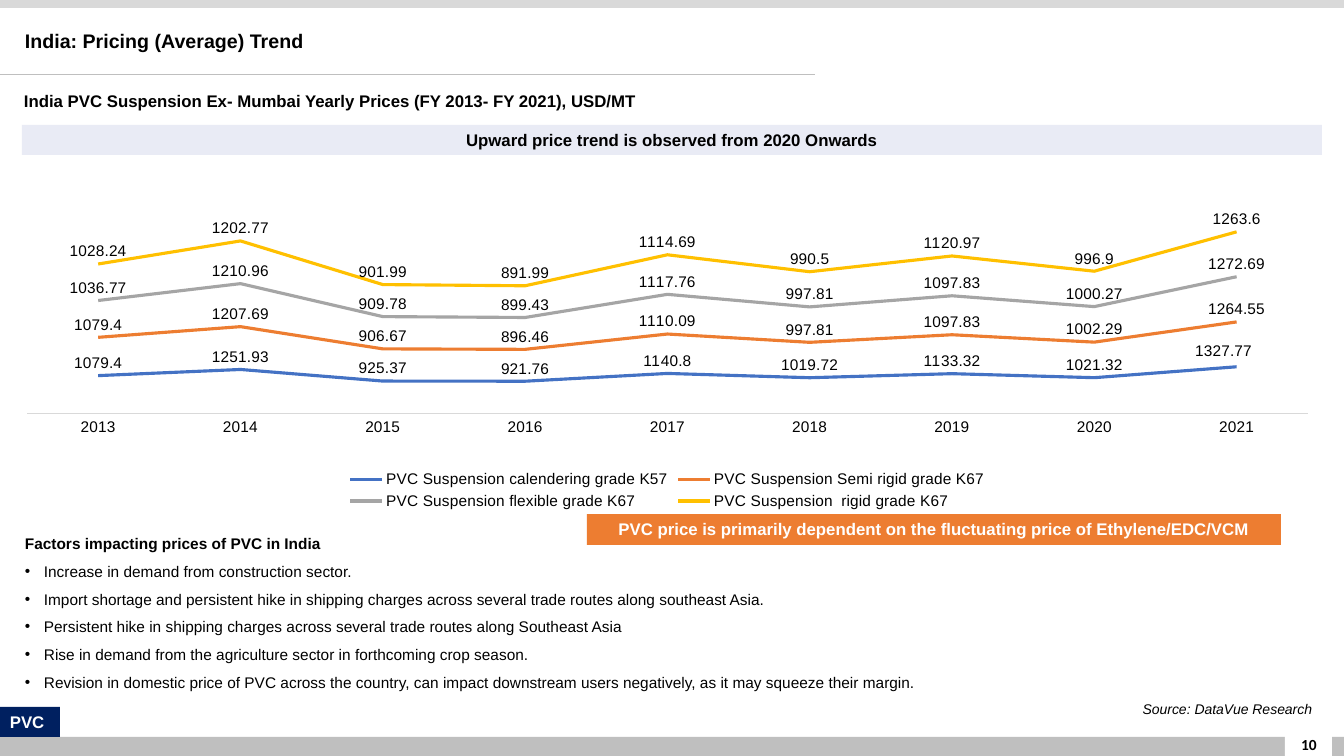
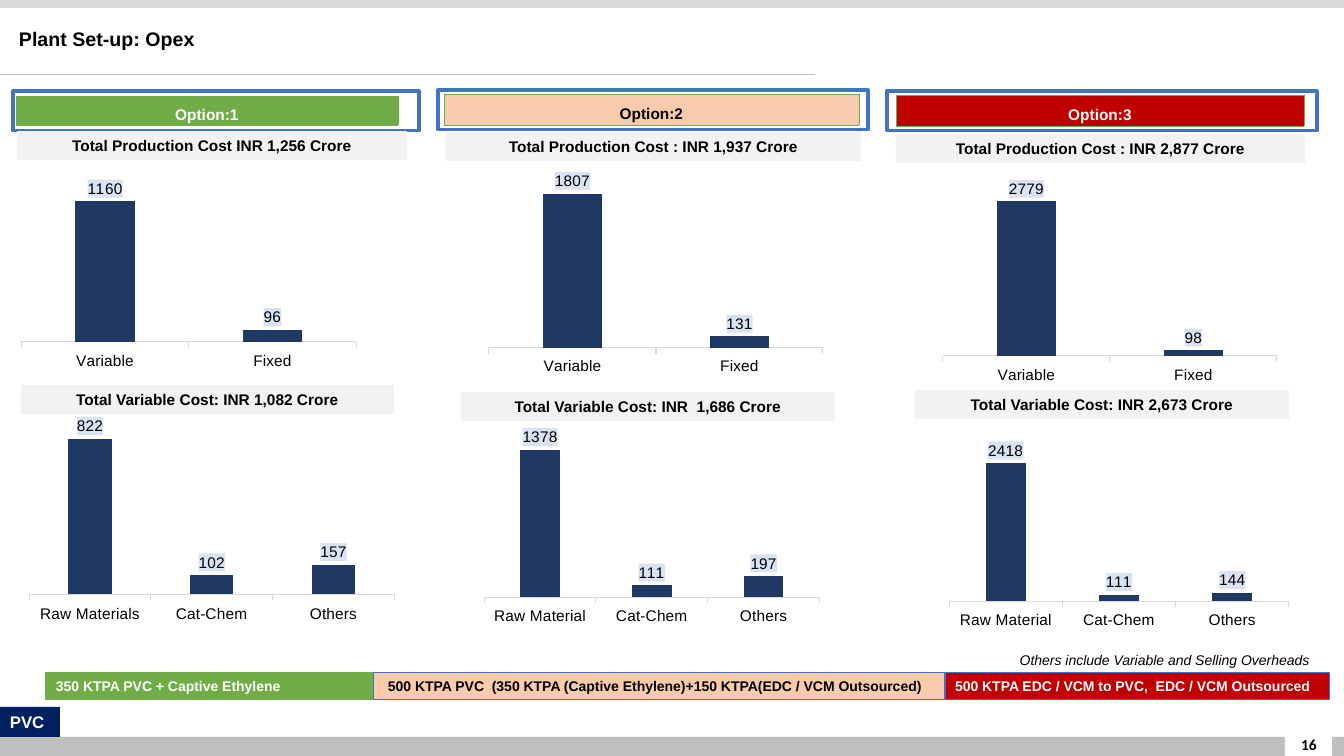
from dataclasses import dataclass

from lxml import etree
from pptx import Presentation
from pptx.chart.data import CategoryChartData
from pptx.dml.color import RGBColor
from pptx.enum.chart import (XL_CHART_TYPE, XL_LABEL_POSITION, XL_LEGEND_POSITION,
                             XL_MARKER_STYLE, XL_TICK_LABEL_POSITION, XL_TICK_MARK)
from pptx.enum.shapes import MSO_CONNECTOR, MSO_SHAPE
from pptx.enum.text import MSO_ANCHOR, PP_ALIGN
from pptx.oxml import parse_xml
from pptx.oxml.ns import nsdecls, qn
from pptx.util import Pt

RECTANGLE = MSO_SHAPE.RECTANGLE
LEFT, CENTER, RIGHT = PP_ALIGN.LEFT, PP_ALIGN.CENTER, PP_ALIGN.RIGHT
TOP, MIDDLE = MSO_ANCHOR.TOP, MSO_ANCHOR.MIDDLE
NO_TICKS = XL_TICK_MARK.NONE

BLACK = RGBColor(0x00, 0x00, 0x00)
WHITE = RGBColor(0xFF, 0xFF, 0xFF)
BAND_GRAY = RGBColor(0xBF, 0xBF, 0xBF)
RULE_GRAY = RGBColor(0xD9, 0xD9, 0xD9)
CAPTION_GRAY = RGBColor(0xF2, 0xF2, 0xF2)
PALE_BLUE = RGBColor(0xE9, 0xEB, 0xF5)
TAG_NAVY = RGBColor(0x00, 0x20, 0x60)
COLUMN_NAVY = RGBColor(0x20, 0x38, 0x64)
BLUE = RGBColor(0x44, 0x72, 0xC4)
ORANGE = RGBColor(0xED, 0x7D, 0x31)
GRAY = RGBColor(0xA5, 0xA5, 0xA5)
YELLOW = RGBColor(0xFF, 0xC0, 0x00)
GREEN = RGBColor(0x70, 0xAD, 0x47)
PEACH = RGBColor(0xF8, 0xCB, 0xAD)
RED = RGBColor(0xC0, 0x00, 0x00)
LABEL_FILL = "DAE3F3"

SLIDE_WIDTH, SLIDE_HEIGHT = 1344, 756
EMU_PER_PX = 12192000 / SLIDE_WIDTH
FONT = "Arial"


def px(length):
    return round(length * EMU_PER_PX)


def place(box):
    return [px(length) for length in box]


def within(origin, box):
    """Move a box given relative to the origin onto the slide."""
    return (origin[0] + box[0], origin[1] + box[1], box[2], box[3])


def style_font(font, size, color=BLACK, bold=False, italic=False, name=FONT):
    font.name, font.size = name, Pt(size)
    font.bold, font.italic = bold, italic
    font.color.rgb = color


def write(shape, text, size, color=BLACK, align=LEFT, anchor=TOP, **font):
    frame = shape.text_frame
    frame.word_wrap = True
    frame.vertical_anchor = anchor
    paragraph = frame.paragraphs[0]
    paragraph.text = text
    paragraph.alignment = align
    style_font(paragraph.font, size, color, **font)
    return paragraph


def add_text(slide, box, text, size, **style):
    return write(slide.shapes.add_textbox(*place(box)), text, size, **style)


def add_box(slide, box, fill=None, line=None, line_width=0.75):
    shape = slide.shapes.add_shape(RECTANGLE, *place(box))
    shape.shadow.inherit = False
    if fill is None:
        shape.fill.background()
    else:
        shape.fill.solid()
        shape.fill.fore_color.rgb = fill
    if line is None:
        shape.line.fill.background()
    else:
        shape.line.color.rgb = line
        shape.line.width = Pt(line_width)
    return shape


def add_page(presentation, title, title_box, number):
    """Blank slide with the shared bands, title, section tag and page number."""
    slide = presentation.slides.add_slide(presentation.slide_layouts[6])
    add_box(slide, (0, 737, SLIDE_WIDTH, 19), BAND_GRAY)
    add_box(slide, (0, 0, SLIDE_WIDTH, 8), RULE_GRAY)
    add_box(slide, (1285, 719, 47, 37), WHITE)
    add_text(slide, (1276, 724, 66, 40), number, 11, align=CENTER, anchor=MIDDLE,
             bold=True, name="Calibri")
    rule = slide.shapes.add_connector(MSO_CONNECTOR.STRAIGHT, 0, px(74), px(815), px(74))
    rule.line.color.rgb = BAND_GRAY
    rule.line.width = Pt(0.5)
    etree.SubElement(rule._element.spPr, qn("a:effectLst"))
    add_text(slide, title_box, title, 14, anchor=MIDDLE, bold=True).line_spacing = 0.9
    write(add_box(slide, (0, 707, 60, 30), TAG_NAVY), "PVC", 12, WHITE, bold=True)
    return slide


def add_note(slide, box, text):
    add_text(slide, box, text, 10, align=RIGHT, italic=True).line_spacing = 1.07


# Charts

def manual_layout(x, y, width=None, height=None):
    parts = [("xMode", "edge"), ("yMode", "edge")] if width else []
    parts += [("x", x), ("y", y)]
    if width:
        parts = [("layoutTarget", "inner")] + parts + [("w", width), ("h", height)]
    body = "".join(f'<c:{tag} val="{value}"/>' for tag, value in parts)
    return parse_xml(f'<c:layout {nsdecls("c")}><c:manualLayout>{body}'
                     '</c:manualLayout></c:layout>')


def add_chart(slide, box, kind, categories, series, plot_area, maximum):
    data = CategoryChartData()
    data.categories = categories
    for name, values in series:
        data.add_series(name, values)
    chart = slide.shapes.add_chart(kind, *place(box), data).chart
    chart.has_title = chart.has_legend = False
    style_font(chart.font, 11)
    plot_element = chart.element.find(".//" + qn("c:plotArea"))
    for layout in plot_element.findall(qn("c:layout")):
        plot_element.remove(layout)
    plot_element.insert(0, manual_layout(*plot_area))

    chart.category_axis.format.line.color.rgb = RULE_GRAY
    value_axis = chart.value_axis
    value_axis.has_major_gridlines = False
    value_axis.minimum_scale, value_axis.maximum_scale = 0, maximum
    return chart


def show_values(owner, position):
    labels = owner.data_labels
    labels.show_value = True
    style_font(labels.font, 11)
    labels.position = position


def add_price_chart(slide, box):
    years = [str(year) for year in range(2013, 2022)]
    grades = [
        ("PVC Suspension calendering grade K57", BLUE,
         (1079.4, 1251.93, 925.37, 921.76, 1140.8, 1019.72, 1133.32, 1021.32, 1327.77)),
        ("PVC Suspension Semi rigid grade K67", ORANGE,
         (1079.4, 1207.69, 906.67, 896.46, 1110.09, 997.81, 1097.83, 1002.29, 1264.55)),
        ("PVC Suspension flexible grade K67", GRAY,
         (1036.77, 1210.96, 909.78, 899.43, 1117.76, 997.81, 1097.83, 1000.27, 1272.69)),
        ("PVC Suspension  rigid grade K67", YELLOW,
         (1028.24, 1202.77, 901.99, 891.99, 1114.69, 990.5, 1120.97, 996.9, 1263.6)),
    ]
    chart = add_chart(slide, box, XL_CHART_TYPE.LINE_STACKED, years,
                      [(name, values) for name, _, values in grades],
                      (0.01, 0.06, 0.98, 0.64), 6000)
    chart.category_axis.major_tick_mark = NO_TICKS
    chart.value_axis.visible = False
    chart.has_legend = True
    chart.legend.position = XL_LEGEND_POSITION.BOTTOM
    chart.legend.include_in_layout = False
    style_font(chart.legend.font, 11)
    for series, (_, color, _) in zip(chart.plots[0].series, grades):
        series.smooth = False
        series.marker.style = XL_MARKER_STYLE.NONE
        series.format.line.color.rgb = color
        series.format.line.width = Pt(2.25)
        show_values(series, XL_LABEL_POSITION.ABOVE)

    # The last label of the lowest line stands a little to the left
    last_label = chart.plots[0].series[0].points[len(years) - 1].data_label
    style_font(last_label.font, 11)
    last_label.position = XL_LABEL_POSITION.ABOVE
    label_element = chart.element.find(".//" + qn("c:dLbl"))
    label_element.insert(1, manual_layout(-0.01, -0.01))


def add_cost_chart(slide, box, categories, values, plot_area, maximum):
    chart = add_chart(slide, box, XL_CHART_TYPE.COLUMN_CLUSTERED, categories,
                      [("Series 1", values)], plot_area, maximum)
    chart.value_axis.tick_label_position = XL_TICK_LABEL_POSITION.NONE
    chart.value_axis.major_tick_mark = NO_TICKS
    chart.value_axis.format.line.fill.background()
    plot = chart.plots[0]
    plot.gap_width = 181
    plot.vary_by_categories = False
    columns = plot.series[0]
    columns.format.fill.solid()
    columns.format.fill.fore_color.rgb = COLUMN_NAVY
    show_values(columns, XL_LABEL_POSITION.OUTSIDE_END)
    label_text = chart.element.find(".//" + qn("c:dLbls")).find(qn("c:txPr"))
    label_text.addprevious(parse_xml(
        f'<c:spPr {nsdecls("c", "a")}><a:solidFill><a:srgbClr val="{LABEL_FILL}"/>'
        '</a:solidFill></c:spPr>'))


# Pricing slide

def add_factors(slide, box, heading, factors):
    text_box = slide.shapes.add_textbox(*place(box))
    write(text_box, heading, 11, bold=True).line_spacing = 1.5
    for factor in factors:
        paragraph = text_box.text_frame.add_paragraph()
        paragraph.text = factor
        properties = paragraph._p.get_or_add_pPr()
        properties.set("marL", str(px(19)))
        properties.set("indent", str(-px(19)))
        etree.SubElement(properties, qn("a:buFont")).set("typeface", FONT)
        etree.SubElement(properties, qn("a:buChar")).set("char", "•")
        paragraph.line_spacing = 1.5
        style_font(paragraph.font, 11)


def build_pricing(presentation):
    slide = add_page(presentation, "India: Pricing (Average) Trend", (15, 17, 817, 50), "10")
    add_note(slide, (903, 694, 419, 27), "Source: DataVue Research")
    add_text(slide, (14, 86, 675, 30),
             "India PVC Suspension Ex- Mumbai Yearly Prices (FY 2013- FY 2021), USD/MT",
             12, bold=True)
    add_price_chart(slide, (14, 181, 1307, 333))
    add_factors(slide, (15, 520, 1307, 174), "Factors impacting prices of PVC in India", [
        "Increase in demand from construction sector.",
        "Import shortage and persistent hike in shipping charges across several trade "
        "routes along southeast Asia.",
        "Persistent hike in shipping charges across several trade routes along Southeast Asia",
        "Rise in demand from the agriculture sector in forthcoming crop season.",
        "Revision in domestic price of PVC across the country, can impact downstream users "
        "negatively, as it may squeeze their margin."])
    for box, fill, color, text in [
            ((22, 125, 1300, 30), PALE_BLUE, BLACK,
             "Upward price trend is observed from 2020 Onwards"),
            ((587, 514, 694, 31), ORANGE, WHITE,
             "PVC price is primarily dependent on the fluctuating price of Ethylene/EDC/VCM")]:
        write(add_box(slide, box, fill), text, 12, color, align=CENTER, bold=True)


# Opex slide

@dataclass
class CostPanel:
    caption: str
    caption_box: tuple
    chart_box: tuple
    categories: tuple
    values: tuple
    plot_area: tuple
    maximum: int


def add_option_header(slide, box, text, fill, color):
    table = slide.shapes.add_table(1, 1, *place(box)).table
    table.first_row = table.horz_banding = False
    cell = table.cell(0, 0)
    cell.margin_left = cell.margin_right = px(7)
    cell.margin_top = cell.margin_bottom = 0
    cell.vertical_anchor = MIDDLE
    paragraph = cell.text_frame.paragraphs[0]
    paragraph.text = text
    paragraph.alignment = CENTER
    paragraph.line_spacing = 1.5
    style_font(paragraph.font, 11, color, bold=True)
    properties = cell._tc.get_or_add_tcPr()
    for side in ("lnL", "lnR", "lnT", "lnB"):
        properties.append(parse_xml(
            f'<a:{side} {nsdecls("a")} w="{Pt(0.5)}"><a:solidFill>'
            f'<a:srgbClr val="{GREEN}"/></a:solidFill></a:{side}>'))
    cell.fill.solid()
    cell.fill.fore_color.rgb = fill


def add_option(slide, box, header_box, header, fill, color, panels):
    add_box(slide, box, line=BLUE, line_width=2.25)
    for panel in panels:
        caption = add_box(slide, within(box, panel.caption_box), CAPTION_GRAY)
        write(caption, panel.caption, 11, align=CENTER, bold=True)
        add_cost_chart(slide, within(box, panel.chart_box), panel.categories,
                       panel.values, panel.plot_area, panel.maximum)
    add_option_header(slide, within(box, header_box), header, fill, color)


def build_opex(presentation):
    slide = add_page(presentation, "Plant Set-up: Opex", (9, 15, 817, 50), "16")
    production = ("Variable", "Fixed")
    variable = ("Raw Material", "Cat-Chem", "Others")
    wide_plot = (0.14, 0, 0.72, 0.86)
    add_option(slide, (13, 91, 406, 40), (3, 5, 382, 29), "Option:1", GREEN, WHITE, [
        CostPanel("Total Production Cost INR 1,256 Crore", (4, 40, 390, 29),
                  (-52, 75, 465, 217), production, (1160, 96), (0.13, 0.03, 0.72, 0.78), 1400),
        CostPanel("Total Variable Cost: INR 1,082 Crore", (8, 294, 373, 29),
                  (-29, 322, 451, 227), ("Raw Materials", "Cat-Chem", "Others"),
                  (822, 102, 157), (0.1, 0.05, 0.81, 0.75), 900)])
    add_option(slide, (438, 90, 430, 40), (6, 4, 415, 31), "Option:2", PEACH, BLACK, [
        CostPanel("Total Production Cost : INR 1,937 Crore", (8, 42, 415, 29),
                  (-14, 82, 464, 204), production, (1807, 131), wide_plot, 2030),
        CostPanel("Total Variable Cost: INR  1,686 Crore", (23, 302, 374, 29),
                  (-14, 336, 430, 204), variable, (1378, 111, 197), (0.14, 0, 0.78, 0.84), 1600)])
    add_option(slide, (887, 91, 430, 40), (9, 4, 408, 31), "Option:3", RED, WHITE, [
        CostPanel("Total Production Cost : INR 2,877 Crore", (9, 43, 409, 29),
                  (-9, 89, 464, 204), production, (2779, 98), wide_plot, 3100),
        CostPanel("Total Variable Cost: INR 2,673 Crore", (28, 299, 374, 29),
                  (2, 339, 430, 204), variable, (2418, 111, 144), (0.14, 0, 0.79, 0.84), 3000)])

    # Key to the three options
    for left, width, inset, fill, line, color, text in [
            (46, 327, 10, GREEN, GREEN, WHITE, "350 KTPA PVC + Captive Ethylene"),
            (374, 571, 14, PEACH, BLUE, BLACK,
             "500 KTPA PVC  (350 KTPA (Captive Ethylene)+150 KTPA(EDC / VCM Outsourced)"),
            (945, 385, 10, RED, BLUE, WHITE,
             "500 KTPA EDC / VCM to PVC,  EDC / VCM Outsourced")]:
        key = add_box(slide, (left, 673, width, 27), fill, line)
        write(key, text, 10, color, bold=True)
        key.text_frame.margin_left = px(inset)
    add_note(slide, (900, 645, 419, 27), "Others include Variable and Selling Overheads")


def main():
    presentation = Presentation()
    presentation.slide_width, presentation.slide_height = px(SLIDE_WIDTH), px(SLIDE_HEIGHT)
    build_pricing(presentation)
    build_opex(presentation)
    presentation.save("out.pptx")


if __name__ == "__main__":
    main()
